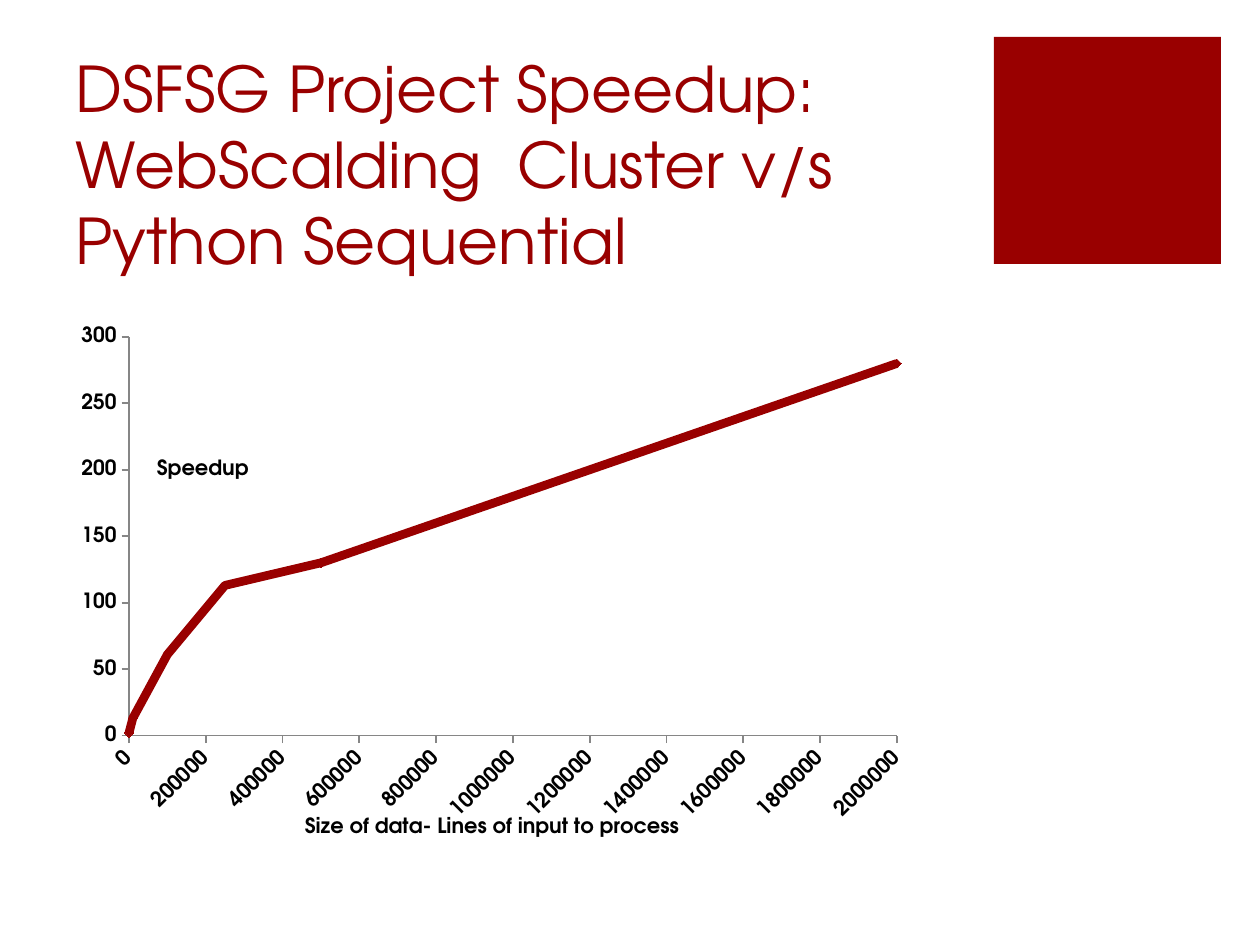
"""Build the project speedup slide with its scatter chart."""
from pptx import Presentation
from pptx.chart.data import XyChartData
from pptx.dml.color import RGBColor
from pptx.enum.chart import XL_CHART_TYPE, XL_MARKER_STYLE, XL_TICK_MARK
from pptx.enum.shapes import MSO_SHAPE
from pptx.enum.text import MSO_ANCHOR, MSO_AUTO_SIZE, PP_ALIGN
from pptx.oxml import parse_xml
from pptx.oxml.ns import nsdecls, qn
from pptx.util import Pt

SCATTER = XL_CHART_TYPE.XY_SCATTER_LINES
DIAMOND = XL_MARKER_STYLE.DIAMOND
OUTSIDE, NO_TICK = XL_TICK_MARK.OUTSIDE, XL_TICK_MARK.NONE
RECTANGLE = MSO_SHAPE.RECTANGLE
BOTTOM, NO_FIT, LEFT = MSO_ANCHOR.BOTTOM, MSO_AUTO_SIZE.NONE, PP_ALIGN.LEFT

HEADING = "DSFSG Project Speedup: WebScalding  Cluster v/s Python Sequential"
SPEEDUPS = [(0, 2), (10000, 13), (100000, 61), (250000, 113), (500000, 130), (2000000, 280)]
AXES = {
    "category_axis": {
        "title": "Size of data- Lines of input to process", "spot": {"x": 238, "y": 507},
        "label_turn": -45, "scale": {"minimum_scale": 0, "maximum_scale": 2000000, "major_unit": 200000},
    },
    "value_axis": {
        "title": "Speedup", "spot": {"x": 90, "y": 149},
        "label_turn": 0, "scale": {"minimum_scale": 0, "maximum_scale": 300, "major_unit": 50},
    },
}
AXIS_FORMAT = {"has_major_gridlines": False, "has_minor_gridlines": False,
               "major_tick_mark": OUTSIDE, "minor_tick_mark": NO_TICK}
HEADING_FORMAT = {"vertical_anchor": BOTTOM, "word_wrap": True, "auto_size": NO_FIT}
CHART_WIDTH, CHART_HEIGHT = 897, 539
PLOT_AREA = {"x": 66, "y": 32, "w": 768, "h": 399}
COLORS = {"accent": "990000", "text": "000000", "axis": "868686"}
FONT = "TeX Gyre Adventor"
SCALE = 914400 / 126
DEGREE = 60000


def px(*lengths):
    return [round(length * SCALE) for length in lengths]


def color(name):
    return RGBColor.from_string(COLORS[name])


def set_values(target, values):
    for key, value in values.items():
        setattr(target, key, value)


def set_font(font, size, color_name, bold):
    set_values(font, {"name": FONT, "size": Pt(size), "bold": bold})
    font.color.rgb = color(color_name)


def manual_layout(places, inner=False):
    target = '<c:layoutTarget val="inner"/>' if inner else ""
    modes = "".join(f'<c:{side}Mode val="edge"/>' for side in "xy")
    values = "".join(
        f'<c:{key} val="{length / (CHART_WIDTH if key in "xw" else CHART_HEIGHT)}"/>'
        for key, length in places.items())
    return parse_xml(f'<c:layout {nsdecls("c")}><c:manualLayout>{target}{modes}{values}'
                     '</c:manualLayout></c:layout>')


def set_layout(element, layout, index):
    for old in element.findall(qn("c:layout")):
        element.remove(old)
    element.insert(index, layout)


def format_axis(axis, content):
    set_values(axis, {**AXIS_FORMAT, **content["scale"]})
    axis.format.line.color.rgb = color("axis")
    axis.format.line.width = Pt(1)
    labels = axis.tick_labels
    set_font(labels.font, 12, "text", True)
    set_values(labels, {"number_format": "General", "number_format_is_linked": False})
    label_body = axis._element.find(qn("c:txPr")).find(qn("a:bodyPr"))
    label_body.set("rot", str(content["label_turn"] * DEGREE))
    caption = axis.axis_title.text_frame
    caption.text = content["title"]
    set_font(caption.paragraphs[0].runs[0].font, 12, "text", True)
    body = caption._txBody.find(qn("a:bodyPr"))
    body.set("rot", "0")
    body.set("vert", "horz")
    set_layout(axis.axis_title._element, manual_layout(content["spot"]), 1)


def add_speedup_chart(slide):
    data = XyChartData()
    speedup = data.add_series("Series 1")
    for lines, value in SPEEDUPS:
        speedup.add_data_point(lines, value)
    chart = slide.shapes.add_chart(SCATTER, *px(63, 305, CHART_WIDTH, CHART_HEIGHT), data).chart
    set_values(chart, {"has_legend": False, "has_title": False})
    set_font(chart.font, 10, "text", False)
    plot = chart.plots[0]
    plot.vary_by_categories = False
    series = plot.series[0]
    series.smooth = False
    series.format.line.color.rgb = color("accent")
    series.format.line.width = Pt(5)
    set_values(series.marker, {"style": DIAMOND, "size": 5})
    series.marker.format.fill.solid()
    series.marker.format.fill.fore_color.rgb = color("accent")
    series.marker.format.line.color.rgb = color("accent")
    for name, content in AXES.items():
        format_axis(getattr(chart, name), content)
    plot_area = chart._chartSpace.chart.plotArea
    set_layout(plot_area, manual_layout(PLOT_AREA, inner=True), 0)


def main():
    deck = Presentation()
    deck.slide_width, deck.slide_height = px(1260, 945)
    slide = deck.slides.add_slide(deck.slide_layouts[5])

    corner = slide.shapes.add_shape(RECTANGLE, *px(994, 37, 227, 227))
    corner.shadow.inherit = False
    corner.fill.solid()
    corner.fill.fore_color.rgb = color("accent")
    corner.line.fill.background()

    heading = slide.shapes.title
    set_values(heading, dict(zip(("left", "top", "width", "height"), px(63, 126, 897, 157))))
    set_values(heading.text_frame, {"text": HEADING, **HEADING_FORMAT})
    paragraph = heading.text_frame.paragraphs[0]
    paragraph.alignment = LEFT
    set_font(paragraph.runs[0].font, 36, "accent", False)

    add_speedup_chart(slide)
    deck.save("out.pptx")


if __name__ == "__main__":
    main()
